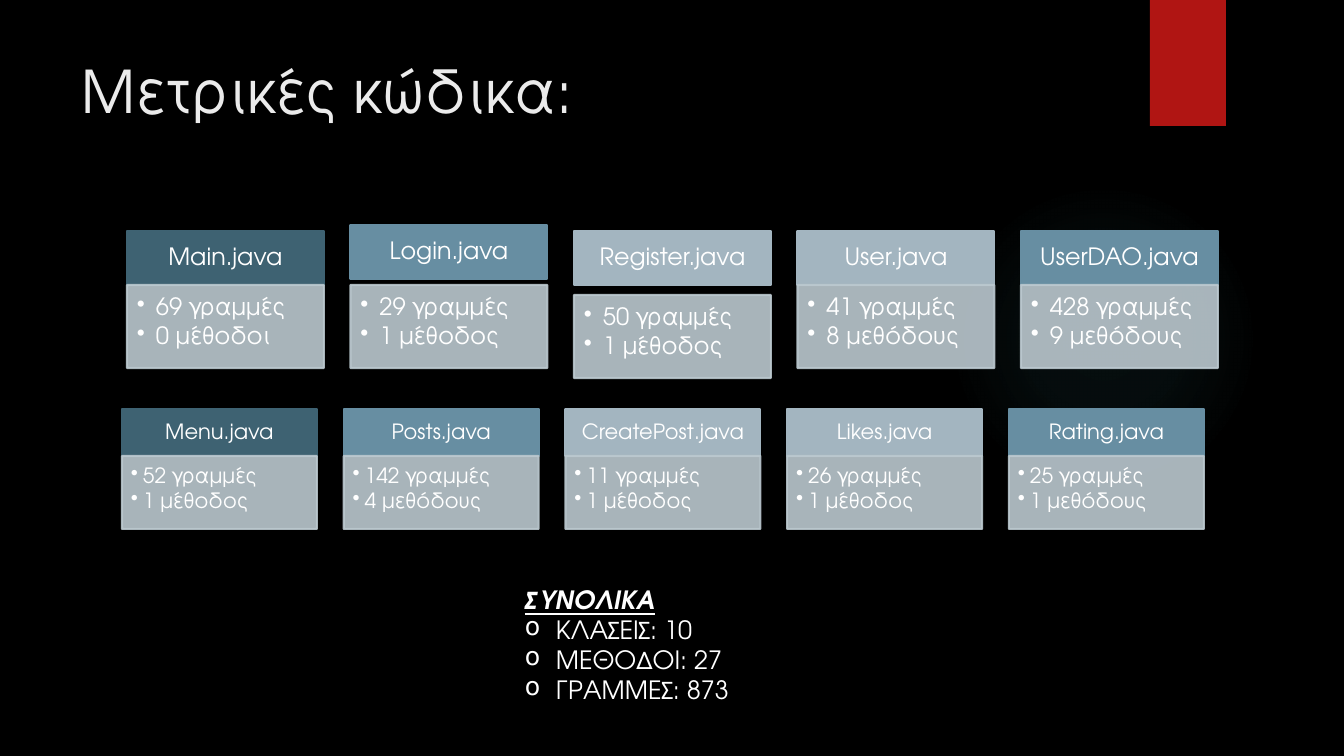
from lxml import etree
from pptx import Presentation
from pptx.dml.color import RGBColor
from pptx.enum.shapes import MSO_SHAPE
from pptx.enum.text import MSO_ANCHOR, PP_ALIGN
from pptx.oxml import parse_xml
from pptx.oxml.ns import nsdecls, qn
from pptx.util import Pt

RECTANGLE, OVAL = MSO_SHAPE.RECTANGLE, MSO_SHAPE.OVAL
TOP, MIDDLE = MSO_ANCHOR.TOP, MSO_ANCHOR.MIDDLE
LEFT, CENTER = PP_ALIGN.LEFT, PP_ALIGN.CENTER

FONT = "TeX Gyre Adventor"
WHITE = "FFFFFF"
HEADER_FILLS = ["3E6272", "678EA2", "A3B5C0", "A3B5C0", "678EA2"]
BODY_FILL = "BBC8CF"
GLOW_STOPS = [(0, 7), (36, 6), (69, 0)]

LARGE_CARDS = {
    "size": 17, "width": 197, "header": 54, "body": 83, "indent": 19,
    "header_insets": (13, 8, 13, 8), "body_insets": (10, 10, 13, 15),
}
SMALL_CARDS = {
    "size": 15, "width": 195, "header": 47, "body": 73, "indent": 12,
    "header_insets": (12, 7, 12, 7), "body_insets": (9, 9, 12, 13),
}

ACCOUNT_CLASSES = [
    ("Main.java", ["69 γραμμές", "0 μέθοδοι"], 0, 0),
    ("Login.java", ["29 γραμμές", "1 μέθοδος"], -6, 0),
    ("Register.java", ["50 γραμμές", "1 μέθοδος"], 0, 10),
    ("User.java", ["41 γραμμές", "8 μεθόδους"], 0, 0),
    ("UserDAO.java", ["428 γραμμές", "9 μεθόδους"], 0, 0),
]
CONTENT_CLASSES = [
    ("Menu.java", ["52 γραμμές", "1 μέθοδος"], 0, 0),
    ("Posts.java", ["142 γραμμές", "4 μεθόδους"], 0, 0),
    ("CreatePost.java", ["11 γραμμές", "1 μέθοδος"], 0, 0),
    ("Likes.java", ["26 γραμμές", "1 μέθοδος"], 0, 0),
    ("Rating.java", ["25 γραμμές", "1 μεθόδους"], 0, 0),
]


def px(length):
    return round(length * 914400 / 100.8)


def rgb(color):
    return RGBColor.from_string(color)


def add_block(slide, kind, box, color, outlined=False, opacity=100):
    block = slide.shapes.add_shape(kind, *map(px, box))
    block.shadow.inherit = False
    block.fill.solid()
    block.fill.fore_color.rgb = rgb(color)
    if outlined:
        block.line.color.rgb = rgb(color)
        block.line.width = Pt(1.5)
    else:
        block.line.fill.background()
    if opacity < 100:
        for tint in block.element.iter(qn("a:srgbClr")):
            etree.SubElement(tint, qn("a:alpha")).set("val", str(opacity * 1000))
    return block


def write(frame, lines, size, color, insets=(10, 5, 10, 5), anchor=TOP, align=LEFT):
    frame.word_wrap = True
    frame.vertical_anchor = anchor
    (frame.margin_left, frame.margin_top,
     frame.margin_right, frame.margin_bottom) = map(px, insets)
    frame.text = "\n".join(lines)
    for paragraph in frame.paragraphs:
        paragraph.alignment = align
        font = paragraph.runs[0].font
        font.name = FONT
        font.size = Pt(size)
        font.color.rgb = rgb(color)


def add_bullet(paragraph, mark, indent):
    properties = paragraph._p.get_or_add_pPr()
    properties.set("marL", str(px(indent)))
    properties.set("indent", str(-px(indent)))
    etree.SubElement(properties, qn("a:buChar")).set("char", mark)


def draw_glow(slide, box):
    glow = add_block(slide, OVAL, box, "50B9C1")
    stops = "".join(
        f'<a:gs pos="{position * 1000}"><a:srgbClr val="50B9C1">'
        f'<a:alpha val="{opacity * 1000}"/></a:srgbClr></a:gs>'
        for position, opacity in GLOW_STOPS
    )
    gradient = parse_xml(
        f'<a:gradFill {nsdecls("a")}><a:gsLst>{stops}</a:gsLst><a:path path="circle">'
        '<a:fillToRect l="50000" t="50000" r="50000" b="50000"/></a:path></a:gradFill>'
    )
    properties = glow.element.spPr
    properties.replace(properties.find(qn("a:solidFill")), gradient)


def draw_title(slide, box):
    title = slide.shapes.add_textbox(*map(px, box))
    write(title.text_frame, ["Μετρικές κώδικα:"], 42, "EBEBEB")


def draw_card(slide, left, top, style, color, java_class):
    name, metrics, header_shift, body_shift = java_class
    width, size = style["width"], style["size"]
    header = add_block(slide, RECTANGLE,
                       (left, top + header_shift, width, style["header"]), color, True)
    write(header.text_frame, [name], size, WHITE, style["header_insets"], MIDDLE, CENTER)
    body_top = top + style["header"] + body_shift
    body = add_block(slide, RECTANGLE,
                     (left, body_top, width, style["body"]), BODY_FILL, True, 90)
    write(body.text_frame, metrics, size, WHITE, style["body_insets"])
    header.text_frame.paragraphs[0].line_spacing = 0.9
    for metric in body.text_frame.paragraphs:
        metric.line_spacing = 0.9
        metric.space_after = Pt(size * 0.15)
        add_bullet(metric, "•", style["indent"])


def draw_card_row(slide, left, top, width, style, classes):
    pitch = (width - style["width"]) / (len(classes) - 1)
    for index, (color, java_class) in enumerate(zip(HEADER_FILLS, classes)):
        draw_card(slide, left + index * pitch, top, style, color, java_class)


def draw_totals(slide, box):
    totals = slide.shapes.add_textbox(*map(px, box))
    lines = ["ΣΥΝΟΛΙΚΑ", "ΚΛΑΣΕΙΣ: 10", "ΜΕΘΟΔΟΙ: 27", "ΓΡΑΜΜΕΣ: 873"]
    write(totals.text_frame, lines, 18, WHITE)
    heading, *counts = totals.text_frame.paragraphs
    heading_font = heading.runs[0].font
    heading_font.bold = heading_font.italic = heading_font.underline = True
    for count in counts:
        add_bullet(count, "o", 31)


def main():
    presentation = Presentation()
    presentation.slide_width = px(1344)
    presentation.slide_height = px(756)
    slide = presentation.slides.add_slide(presentation.slide_layouts[6])
    slide.background.fill.solid()
    slide.background.fill.fore_color.rgb = rgb("000000")
    draw_glow(slide, (949, 184, 310, 310))
    add_block(slide, RECTANGLE, (1150, 0, 76, 126), "B01513")
    draw_title(slide, (72, 50, 1037, 154))
    draw_card_row(slide, 122, 409, 1082, SMALL_CARDS, CONTENT_CLASSES)
    draw_card_row(slide, 127, 231, 1091, LARGE_CARDS, ACCOUNT_CLASSES)
    draw_totals(slide, (515, 579, 278, 132))
    presentation.save("out.pptx")


if __name__ == "__main__":
    main()
